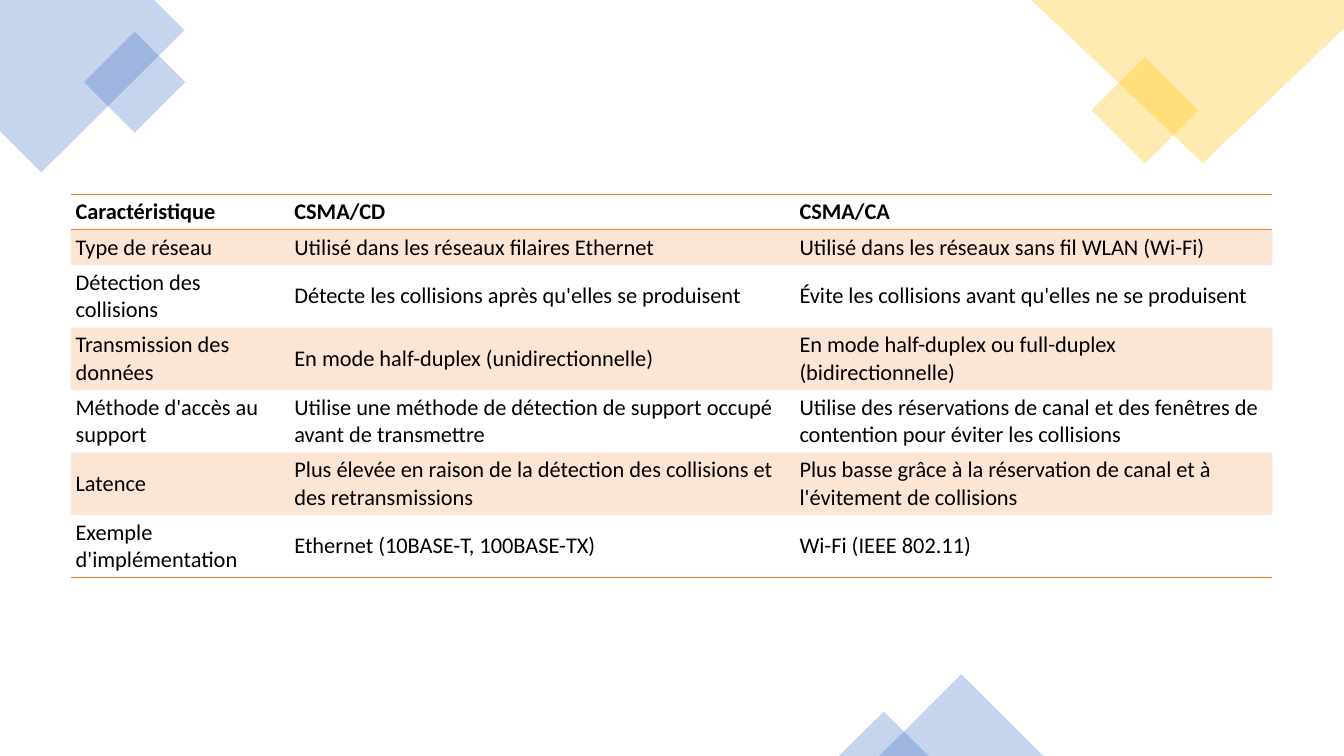
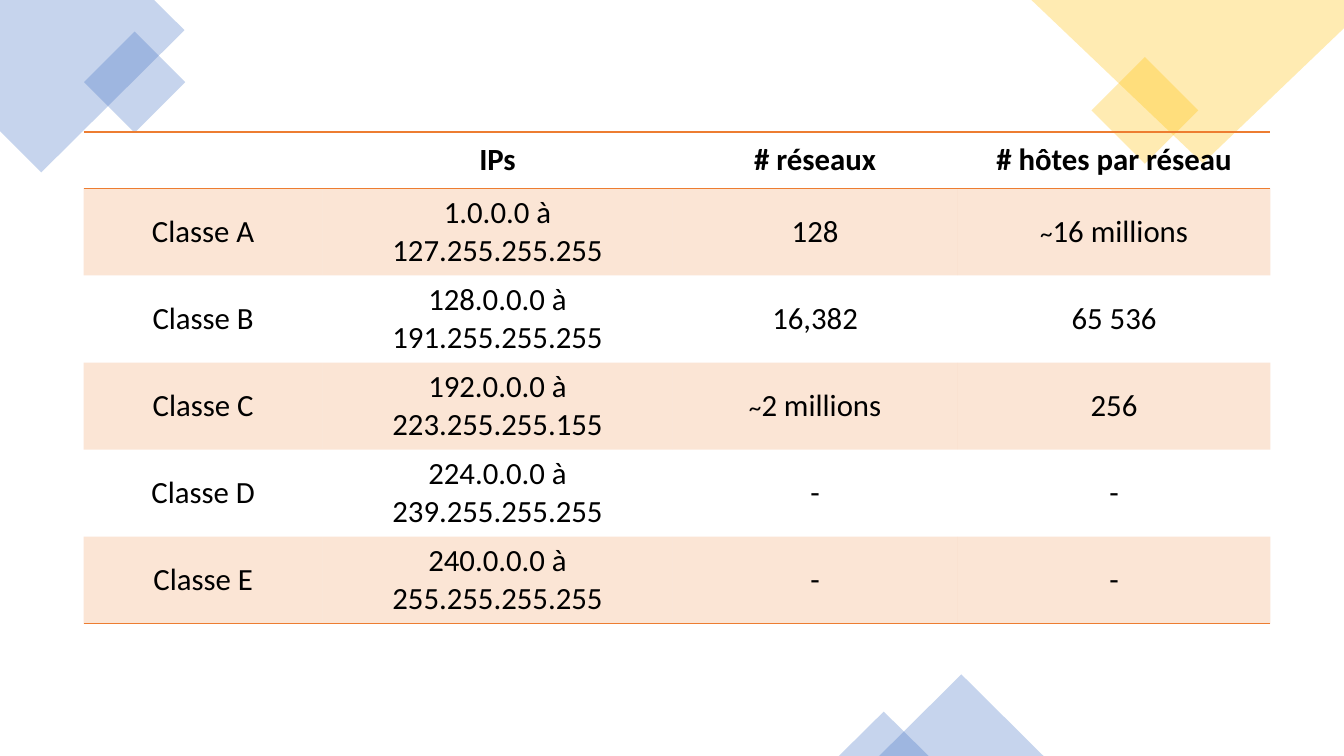
from lxml.etree import SubElement
from pptx import Presentation
from pptx.dml.color import RGBColor
from pptx.enum.shapes import MSO_SHAPE
from pptx.enum.text import MSO_ANCHOR, PP_ALIGN
from pptx.oxml import parse_xml
from pptx.oxml.ns import nsdecls, qn
from pptx.util import Inches, Pt

# Content
PROTOCOLS = [
    ("Caractéristique", "CSMA/CD", "CSMA/CA"),
    ("Type de réseau", "Utilisé dans les réseaux filaires Ethernet",
     "Utilisé dans les réseaux sans fil WLAN (Wi-Fi)"),
    ("Détection des collisions",
     "Détecte les collisions après qu'elles se produisent",
     "Évite les collisions avant qu'elles ne se produisent"),
    ("Transmission des données", "En mode half-duplex (unidirectionnelle)",
     "En mode half-duplex ou full-duplex (bidirectionnelle)"),
    ("Méthode d'accès au support",
     "Utilise une méthode de détection de support occupé avant de transmettre",
     "Utilise des réservations de canal et des fenêtres de contention "
     "pour éviter les collisions"),
    ("Latence",
     "Plus élevée en raison de la détection des collisions et des retransmissions",
     "Plus basse grâce à la réservation de canal et à l'évitement de collisions"),
    ("Exemple d'implémentation", "Ethernet (10BASE-T, 100BASE-TX)",
     "Wi-Fi (IEEE 802.11)"),
]
CLASSES = [
    ("", "IPs", "# réseaux", "# hôtes par réseau"),
    ("Classe A", "1.0.0.0 à\n127.255.255.255", "128", "~16 millions"),
    ("Classe B", "128.0.0.0 à\n191.255.255.255", "16,382", "65 536"),
    ("Classe C", "192.0.0.0 à\n223.255.255.155", "~2 millions", "256"),
    ("Classe D", "224.0.0.0 à 239.255.255.255", "-", "-"),
    ("Classe E", "240.0.0.0 à 255.255.255.255", "-", "-"),
]
TABLES = [
    dict(rows=PROTOCOLS, left=0.7, top=1.93, columns=(2.17, 5.01, 4.74),
         heights=[0.35] * 2 + [0.62] * 5, size=16, margins=(0.05, 0.02),
         align=PP_ALIGN.LEFT),
    dict(rows=CLASSES, left=0.83, top=1.31, columns=(2.37, 3.47, 2.83, 3.1),
         heights=[0.56] + [0.86] * 5, size=22, margins=(0.12, 0.06),
         align=PP_ALIGN.CENTER),
]

# Shared style
COLORS = {"blue": "4472C4", "gold": "FFC000", "orange": "ED7D31", "text": "000000"}
FONT = "Calibri"
TILDE_SIZE = 18
DECOR_OPACITY, BAND_OPACITY = 30, 20
NO_STYLE = "{2D5ABB26-0587-4C30-8999-92F81FD0307C}"

CORNERS = [
    ("blue", [(0, 0), (1.53, 0), (1.83, 0.3), (0.41, 1.71), (0, 1.3)]),
    ("gold", [(10.23, 0), (13.33, 0), (13.33, 0.28), (11.93, 1.62)]),
]
# Colour, preset, rotation, left, top, width, height
ACCENTS = [
    ("blue", MSO_SHAPE.RECTANGLE, 45, 0.98, 0.46, 0.71, 0.71),
    ("gold", MSO_SHAPE.RECTANGLE, 45, 10.98, 0.72, 0.75, 0.75),
    ("blue", MSO_SHAPE.ISOSCELES_TRIANGLE, 0, 8.72, 6.69, 1.63, 0.81),
    ("blue", MSO_SHAPE.ISOSCELES_TRIANGLE, 0, 8.32, 7.06, 0.89, 0.44),
]


def tint(fill, properties, color, opacity):
    """Fill with a see-through colour; properties is the XML parent of the fill."""
    fill.solid()
    fill.fore_color.rgb = RGBColor.from_string(COLORS[color])
    value = properties.find(qn("a:solidFill")).find(qn("a:srgbClr"))
    SubElement(value, qn("a:alpha"), val=str(opacity * 1000))


def add_decor(slide):
    shapes = []
    for color, points in CORNERS:
        vertices = [(Inches(x), Inches(y)) for x, y in points]
        builder = slide.shapes.build_freeform(*vertices[0])
        builder.add_line_segments(vertices[1:], close=True)
        shapes.append((color, builder.convert_to_shape()))
    for color, preset, rotation, *box in ACCENTS:
        shape = slide.shapes.add_shape(preset, *map(Inches, box))
        shape.rotation = rotation
        shapes.append((color, shape))
    for color, shape in shapes:
        shape.shadow.inherit = False
        shape.line.fill.background()
        tint(shape.fill, shape._element.spPr, color, DECOR_OPACITY)


def set_borders(cell, sides):
    """Draw 1 pt orange rules on the given sides, and none on the others."""
    properties = cell._tc.get_or_add_tcPr()
    for index, side in enumerate("LRTB"):
        paint = (f'<a:solidFill><a:srgbClr val="{COLORS["orange"]}"/></a:solidFill>'
                 if side in sides else "<a:noFill/>")
        properties.insert(index, parse_xml(
            f'<a:ln{side} {nsdecls("a")} w="{Pt(1)}">{paint}</a:ln{side}>'))


def add_run(paragraph, text, size, bold):
    run = paragraph.add_run()
    run.text = text
    run.font.name = FONT
    run.font.size = Pt(size)
    run.font.bold = bold
    run.font.color.rgb = RGBColor.from_string(COLORS["text"])


def write_cell(cell, text, size, align, bold):
    paragraph = cell.text_frame.paragraphs[0]
    paragraph.alignment = align
    for number, line in enumerate(text.splitlines()):
        if number:
            paragraph.add_line_break()
        if line.startswith("~"):
            add_run(paragraph, "~", TILDE_SIZE, bold)
            line = line[1:]
        add_run(paragraph, line, size, bold)


def add_data_table(slide, rows, left, top, columns, heights, size, margins, align):
    frame = slide.shapes.add_table(
        len(rows), len(columns), Inches(left), Inches(top),
        Inches(sum(columns)), Inches(sum(heights)))
    table = frame.table
    frame._element.find(".//" + qn("a:tableStyleId")).text = NO_STYLE
    for column, width in zip(table.columns, columns):
        column.width = Inches(width)
    for row, height in zip(table.rows, heights):
        row.height = Inches(height)

    for row_index, texts in enumerate(rows):
        header = row_index == 0
        sides = "TB" if header else "B" if row_index == len(rows) - 1 else ""
        # The rules under the header belong to both neighbouring rows
        if row_index == 1:
            sides += "T"
        for column_index, text in enumerate(texts):
            cell = table.cell(row_index, column_index)
            cell.vertical_anchor = MSO_ANCHOR.MIDDLE
            cell.margin_left = cell.margin_right = Inches(margins[0])
            cell.margin_top = cell.margin_bottom = Inches(margins[1])
            if row_index % 2:
                tint(cell.fill, cell._tc.get_or_add_tcPr(), "orange", BAND_OPACITY)
            else:
                cell.fill.background()
            set_borders(cell, sides)
            write_cell(cell, text, size, align, header)


def main():
    presentation = Presentation()
    presentation.slide_width = Inches(13.33)
    presentation.slide_height = Inches(7.5)
    blank_layout = presentation.slide_layouts[6]
    for table in TABLES:
        slide = presentation.slides.add_slide(blank_layout)
        add_decor(slide)
        add_data_table(slide, **table)
    presentation.save("out.pptx")


if __name__ == "__main__":
    main()
